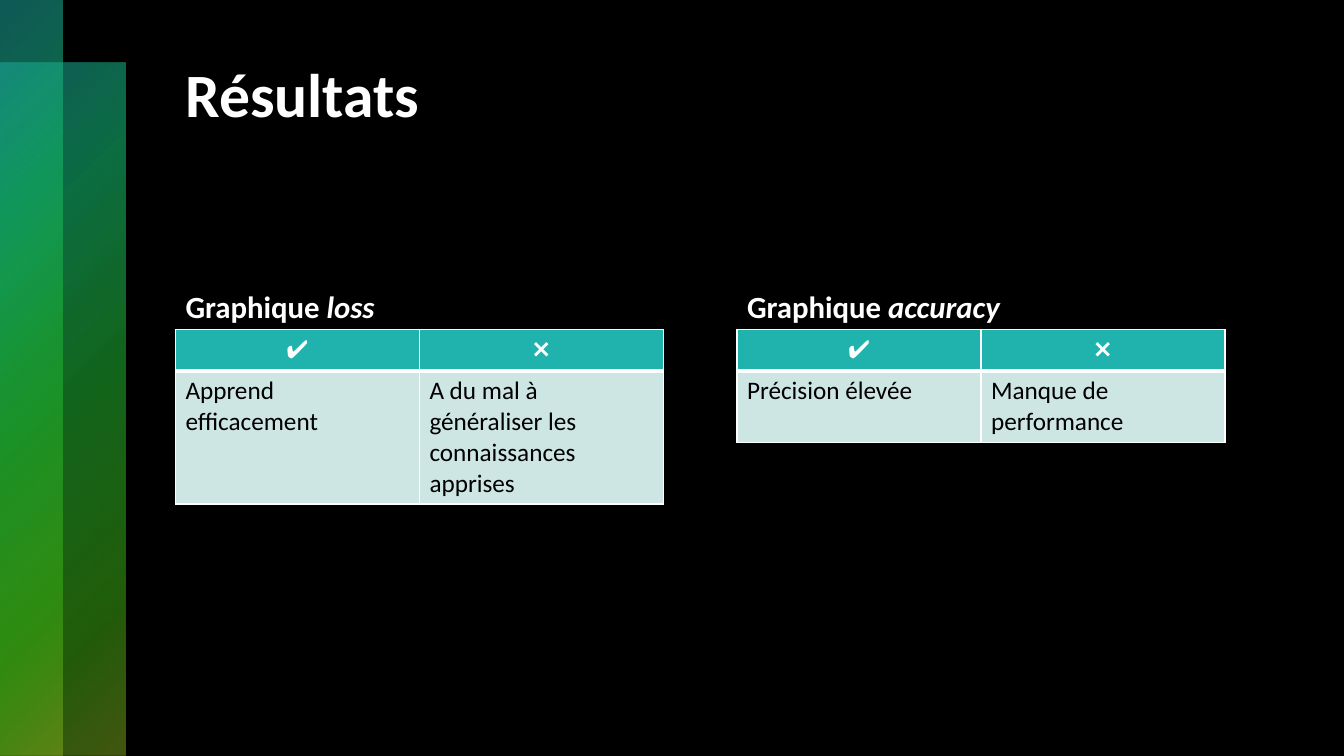
from dataclasses import dataclass

from lxml import etree
from pptx import Presentation
from pptx.dml.color import RGBColor
from pptx.enum import shapes, text
from pptx.oxml import ns
from pptx.util import Inches, Pt


@dataclass(frozen=True)
class Theme:
    font: str = "Calibri"
    background: str = "000000"
    light: str = "FFFFFF"
    dark: str = "000000"
    header: str = "20B3AE"
    body: str = "CDE5E3"
    title_size: int = 44
    heading_size: int = 22
    cell_size: int = 18
    gradient: tuple = ((0, "20B3AE", 50), (25, "14B66D", 60), (50, "21B835", 55),
                       (81, "43B814", 50), (99, "84AF1F", 50))


THEME = Theme()


def sub(parent, tag, **attrs):
    return etree.SubElement(parent, ns.qn(tag), {k: str(v) for k, v in attrs.items()})


def style(font, size, color, bold=True, italic=False):
    font.name, font.size = THEME.font, Pt(size)
    font.bold, font.italic = bold, italic
    font.color.rgb = RGBColor.from_string(color)


def place(sp, left, top, width, height):
    sp.left, sp.top = Inches(left), Inches(top)
    sp.width, sp.height = Inches(width), Inches(height)


def add_band(s, order, left, top, width, height):
    sp = s.shapes.add_shape(shapes.MSO_SHAPE.RECTANGLE, Inches(left), Inches(top),
                            Inches(width), Inches(height))
    sp.shadow.inherit = False
    sp.line.fill.background()
    sp.fill.gradient()
    grad = sp._element.spPr.find(ns.qn("a:gradFill"))
    for child in list(grad):
        grad.remove(child)
    stops = sub(grad, "a:gsLst")
    for position, color, alpha in THEME.gradient:
        stop = sub(stops, "a:gs", pos=position * 1000)
        sub(sub(stop, "a:srgbClr", val=color), "a:alpha", val=alpha * 1000)
    sub(sub(grad, "a:path", path="circle"), "a:fillToRect", r=100000, b=100000)
    s.shapes._spTree.insert(2 + order, sp._element)


def add_title(sp, wording, left, top, width, height):
    place(sp, left, top, width, height)
    tf = sp.text_frame
    tf.text = wording
    tf.auto_size = text.MSO_AUTO_SIZE.NONE
    tf.vertical_anchor = text.MSO_ANCHOR.TOP
    p = tf.paragraphs[0]
    p.alignment = text.PP_ALIGN.LEFT
    style(p.runs[0].font, THEME.title_size, THEME.light)


def add_heading(sp, metric, left, top, width, height):
    place(sp, left, top, width, height)
    tf = sp.text_frame
    tf.auto_size = text.MSO_AUTO_SIZE.NONE
    tf.vertical_anchor = text.MSO_ANCHOR.BOTTOM
    p = tf.paragraphs[0]
    p.line_spacing = 1.1
    p.space_before = Pt(0)
    for wording, italic in (("Graphique ", False), (metric, True)):
        r = p.add_run()
        r.text = wording
        style(r.font, THEME.heading_size, THEME.light, italic=italic)


def add_borders(cell, top, bottom):
    tcPr = cell._tc.get_or_add_tcPr()
    for side, width in (("L", 1), ("R", 1), ("T", top), ("B", bottom)):
        line = sub(tcPr, f"a:ln{side}", w=Pt(width))
        sub(sub(line, "a:solidFill"), "a:srgbClr", val=THEME.light)


def add_verdict_table(s, verdicts, left, top, width, row_height):
    rows = (("✔️", "❌"), verdicts)
    table = s.shapes.add_table(2, 2, Inches(left), Inches(top), Inches(width),
                               Inches(2 * row_height)).table
    for i, row in enumerate(rows):
        is_header = i == 0
        for j, wording in enumerate(row):
            cell = table.cell(i, j)
            cell.text = wording
            add_borders(cell, *((1, 3) if is_header else (3, 1)))
            cell.fill.solid()
            cell.fill.fore_color.rgb = RGBColor.from_string(
                THEME.header if is_header else THEME.body)
            p = cell.text_frame.paragraphs[0]
            p.alignment = text.PP_ALIGN.CENTER if is_header else text.PP_ALIGN.LEFT
            style(p.runs[0].font, THEME.cell_size,
                  THEME.light if is_header else THEME.dark, bold=is_header)


def add_result(s, heading, metric, verdicts, left, top, width):
    heading_height = 0.9
    add_heading(heading, metric, left, top, width, heading_height)
    add_verdict_table(s, verdicts, left, top + heading_height, width, 0.41)


def build_results_slide(prs):
    s = prs.slides.add_slide(prs.slide_layouts[4])
    s.background.fill.solid()
    s.background.fill.fore_color.rgb = RGBColor.from_string(THEME.background)
    title, left_heading, left_content, right_heading, right_content = s.placeholders
    for sp in (left_content, right_content):
        sp._element.getparent().remove(sp._element)

    add_band(s, 0, 0, 0.62, 1.24, 6.88)
    add_band(s, 1, 0, 0, 0.62, 7.5)
    add_title(title, "Résultats", 1.74, 0.5, 10.41, 1.7)
    add_result(s, left_heading, "loss",
               ("Apprend efficacement", "A du mal à généraliser les connaissances apprises"),
               1.74, 2.37, 4.84)
    add_result(s, right_heading, "accuracy",
               ("Précision élevée", "Manque de performance"), 7.31, 2.37, 4.84)


def main():
    prs = Presentation()
    prs.slide_width, prs.slide_height = Inches(13.33), Inches(7.5)
    build_results_slide(prs)
    prs.save("out.pptx")


if __name__ == "__main__":
    main()
